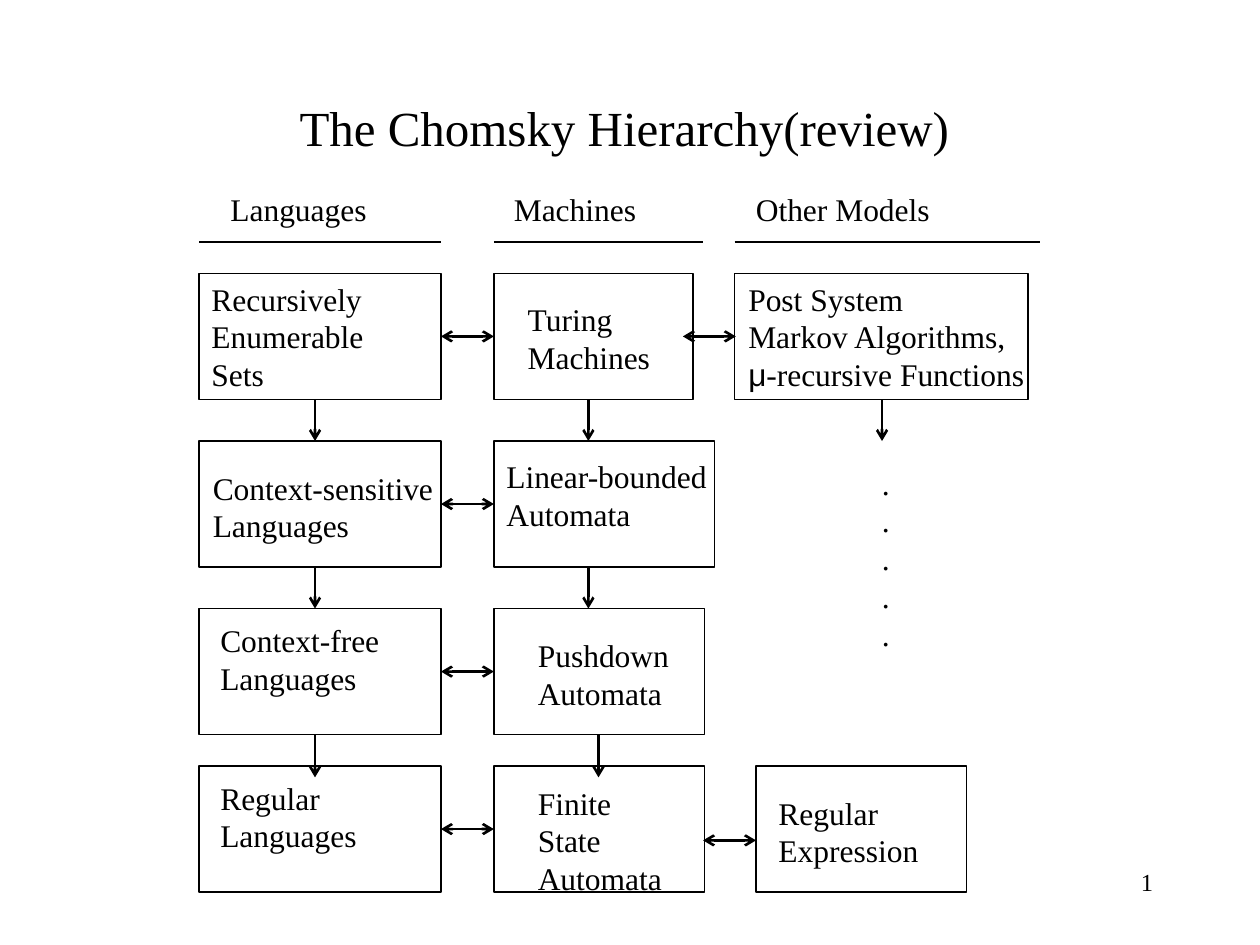
from lxml import etree
from pptx import Presentation
from pptx.dml.color import RGBColor
from pptx.enum.shapes import MSO_CONNECTOR, MSO_SHAPE
from pptx.enum.text import MSO_ANCHOR, PP_ALIGN
from pptx.oxml.ns import qn
from pptx.util import Inches, Pt

RECT = MSO_SHAPE.RECTANGLE
LINE = MSO_CONNECTOR.STRAIGHT
MIDDLE = MSO_ANCHOR.MIDDLE
LEFT, CENTER, RIGHT = PP_ALIGN.LEFT, PP_ALIGN.CENTER, PP_ALIGN.RIGHT
COLORS = {"ink": "000000", "paper": "FFFFFF"}
INK = RGBColor.from_string(COLORS["ink"])
PAPER = RGBColor.from_string(COLORS["paper"])
FONT = "Times New Roman"

deck = Presentation()
deck.slide_width, deck.slide_height = Inches(10), Inches(7.5)
slide = deck.slides.add_slide(deck.slide_layouts[6])


def add_text(text, left, top, width, height, size=18, align=LEFT, wrap=False):
    box = slide.shapes.add_textbox(
        Inches(left), Inches(top), Inches(width), Inches(height))
    frame = box.text_frame
    frame.text = text
    frame.word_wrap = wrap
    for para in frame.paragraphs:
        para.alignment = align
        para.line_spacing = Pt(size * 1.2)
        para.font.size = Pt(size)
        for run in para.runs:
            run.font.name = FONT
            run.font.size = Pt(size)
            run.font.color.rgb = INK
    return frame


def add_line(x1, y1, x2, y2, width=1.5, ends=()):
    line = slide.shapes.add_connector(
        LINE, Inches(x1), Inches(y1), Inches(x2), Inches(y2))
    line.line.color.rgb = INK
    line.line.width = Pt(width)
    props = line.line._get_or_add_ln()
    for end in ends:
        etree.SubElement(props, qn("a:" + end), type="arrow")
    etree.SubElement(line._element.spPr, qn("a:effectLst"))


# Title and page number
title = add_text("The Chomsky Hierarchy(review)", 1.58, 0.67, 6.75, 0.67,
                 28, CENTER, True)
title.vertical_anchor = MIDDLE
add_text("1", 7.17, 6.83, 2.08, 0.5, 14, RIGHT, True)

# Column headings: text, text left, text width, rule left, rule right
heads = [
    ("Languages", 1.73, 1.28, 1.58, 3.5),
    ("Machines", 3.98, 1.17, 3.92, 5.58),
    ("Other Models", 5.9, 1.58, 5.83, 8.25),
]
for text, left, width, start, stop in heads:
    add_text(text, left, 1.46, width, 0.4)
    add_line(start, 1.92, stop, 1.92, 0.75)

# Boxes: left, row, width, then text with its left, top and width
tops = [2.17, 3.5, 4.83, 6.08]
boxes = [
    (1.58, 0, 1.92, "Recursively\nEnumerable\nSets", 1.58, 2.17, 1.92),
    (1.58, 1, 1.92, "Context-sensitive\nLanguages", 1.59, 3.67, 1.95),
    (1.58, 2, 1.92, "Context-free\nLanguages", 1.65, 4.88, 1.46),
    (1.58, 3, 1.92, "Regular\nLanguages", 1.65, 6.13, 1.28),
    (3.92, 0, 1.58, "Turing\nMachines", 4.09, 2.33, 1.17),
    (3.92, 1, 1.75, "Linear-bounded\nAutomata", 3.92, 3.58, 1.79),
    (3.92, 2, 1.67, "Pushdown\nAutomata", 4.17, 5, 1.24),
    (3.92, 3, 1.67, "Finite State\nAutomata", 4.17, 6.17, 1.34),
    (5.83, 0, 2.33, "Post System\nMarkov Algorithms,", 5.84, 2.17, 2.39),
    (6, 3, 1.67, "Regular\nExpression", 6.08, 6.25, 1.6),
]
for left, row, width, text, x, y, span in boxes:
    box = slide.shapes.add_shape(
        RECT, Inches(left), Inches(tops[row]), Inches(width), Inches(1))
    box.shadow.inherit = False
    box.fill.solid()
    box.fill.fore_color.rgb = PAPER
    box.line.color.rgb = INK
    box.line.width = Pt(0.75)
    lines = text.count("\n") + 1
    frame = add_text(text, x, y, span, 0.1 + 0.3 * lines, wrap=span == width)

    # The Greek letter takes its own font
    if text.startswith("Post"):
        para = frame.add_paragraph()
        para.line_spacing = Pt(21.6)
        for part, font in [("μ", "Arial"), ("-recursive Functions", FONT)]:
            run = para.add_run()
            run.text = part
            run.font.name = font
            run.font.size = Pt(18)
            run.font.color.rgb = INK

# Arrows down to the next row
downs = [(2.5, 0), (2.5, 1), (2.5, 2), (4.67, 0), (4.67, 1), (4.75, 2), (7, 0)]
for x, row in downs:
    start = tops[row] + 1
    stop = 6.17 if row == 2 else tops[row + 1]
    add_line(x, start, x, stop, ends=["tailEnd"])

# Two-way arrows between columns
pairs = [(3.5, top + 0.5) for top in tops] + [(5.42, 2.67), (5.58, 6.67)]
for x, y in pairs:
    add_line(x, y, x + 0.42, y, ends=["headEnd", "tailEnd"])

# Dots below the other models
add_text("\n".join("." * 5), 6.9, 3.63, 0.26, 1.6)

deck.save("out.pptx")
